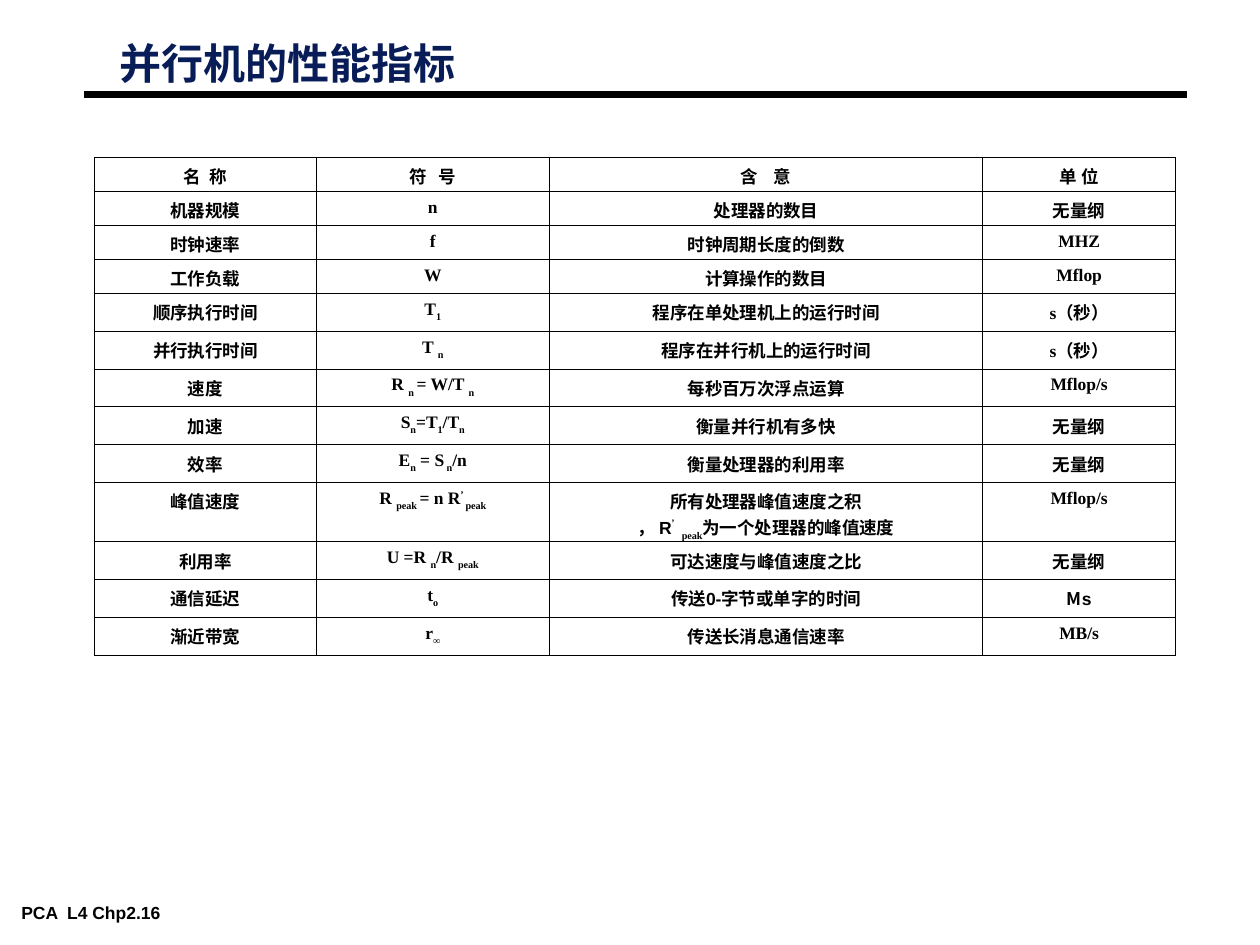
from lxml.etree import SubElement
from pptx import Presentation
from pptx.dml.color import RGBColor
from pptx.enum.shapes import MSO_CONNECTOR
from pptx.enum.text import MSO_ANCHOR, PP_ALIGN
from pptx.oxml.ns import qn
from pptx.util import Inches, Pt

COLORS = {"title": "081D58", "ink": "000000"}
CJK = "Noto Sans CJK SC"


def write(frame, text, font="Arial", size=10, color="ink", align=PP_ALIGN.LEFT,
          spacing=None, margins=(0.07, 0.03, 0.07, 0.03)):
    """Runs are split by |; a leading _ lowers, ^ raises, @ means Arial, # the CJK font."""
    (frame.margin_left, frame.margin_top,
     frame.margin_right, frame.margin_bottom) = map(Inches, margins)
    for i, line in enumerate(text.split("\n")):
        para = frame.paragraphs[0] if i == 0 else frame.add_paragraph()
        para.alignment = align
        if spacing:
            para.line_spacing = spacing
        for part in line.split("|"):
            mark = part[0] if part[0] in "_^@#" else ""
            run = para.add_run()
            run.text = part[len(mark):]
            run.font.name = {"@": "Arial", "#": CJK}.get(mark, font)
            run.font.size = Pt(size)
            run.font.bold = True
            run.font.color.rgb = RGBColor.from_string(COLORS[color])
            props = run.font._element
            SubElement(props, qn("a:ea")).set("typeface", CJK)
            if mark in ("_", "^"):
                props.set("baseline", "-30000" if mark == "_" else "30000")


def border(cell, width=0.45):
    props = cell._tc.get_or_add_tcPr()
    for side in ("lnL", "lnR", "lnT", "lnB"):
        line = SubElement(props, qn("a:" + side), w=str(int(Pt(width))))
        fill = SubElement(line, qn("a:solidFill"))
        SubElement(fill, qn("a:srgbClr"), val=COLORS["ink"])


prs = Presentation()
prs.slide_width, prs.slide_height = Inches(10), Inches(7.5)
slide = prs.slides.add_slide(prs.slide_layouts[6])

# Footer, rule and title
foot = slide.shapes.add_textbox(Inches(0.1), Inches(7.13), Inches(1.76), Inches(0.22))
foot.text_frame.word_wrap = False
write(foot.text_frame, "PCA  L4 Chp2.16")

rule = slide.shapes.add_connector(MSO_CONNECTOR.STRAIGHT, Inches(0.67), Inches(0.75),
                                  Inches(9.42), Inches(0.75))
rule.line.color.rgb = RGBColor.from_string(COLORS["ink"])
rule.line.width = Pt(4.5)
SubElement(rule._element.spPr, qn("a:effectLst"))

title = slide.shapes.add_textbox(Inches(0.88), Inches(0.33), Inches(3.49), Inches(0.4))
title.text_frame.word_wrap = True
title.text_frame.vertical_anchor = MSO_ANCHOR.MIDDLE
write(title.text_frame, "并行机的性能指标", size=24, color="title", spacing=0.87)

# Table of measures
rows = [
    ("名  称", "符   号", "含    意", "单 位"),
    ("机器规模", "n", "处理器的数目", "无量纲"),
    ("时钟速率", "f", "时钟周期长度的倒数", "MHZ"),
    ("工作负载", "W", "计算操作的数目", "Mflop"),
    ("顺序执行时间", "T|_1", "程序在单处理机上的运行时间", "s（秒）"),
    ("并行执行时间", "T |_n", "程序在并行机上的运行时间", "s（秒）"),
    ("速度", "R |_n |= W/T |_n", "每秒百万次浮点运算", "Mflop/s"),
    ("加速", "S|_n|=T|_1|/T|_n", "衡量并行机有多快", "无量纲"),
    ("效率", "E|_n| = S|_ n|/n", "衡量处理器的利用率", "无量纲"),
    ("峰值速度", "R |_peak |= n R|^’ |_peak",
     "所有处理器峰值速度之积\n， |@R|^’|_peak|为一个处理器的峰值速度", "Mflop/s"),
    ("利用率", "U =R |_n|/R |_peak", "可达速度与峰值速度之比", "无量纲"),
    ("通信延迟", "t|_o", "传送|@0-|字节或单字的时间", "#Μ|@s"),
    ("渐近带宽", "r|_∞", "传送长消息通信速率", "MB/s"),
]
widths = [1.76, 1.85, 3.44, 1.53]
heights = [0.27] * 4 + [0.3] * 5 + [0.47] + [0.3] * 3

table = slide.shapes.add_table(len(rows), len(widths), Inches(0.75), Inches(1.25),
                               Inches(sum(widths)), Inches(sum(heights))).table
table.first_row = table.horz_banding = False
for col, width in zip(table.columns, widths):
    col.width = Inches(width)
for r, (row, height) in enumerate(zip(rows, heights)):
    table.rows[r].height = Inches(height)
    for c, text in enumerate(row):
        cell = table.cell(r, c)
        border(cell)
        cell.fill.background()
        write(cell.text_frame, text, font="Times New Roman", align=PP_ALIGN.CENTER)
        cell.margin_left = cell.margin_right = Inches(0.1)
        cell.margin_top, cell.margin_bottom = Inches(0.05), 0

prs.save("out.pptx")
